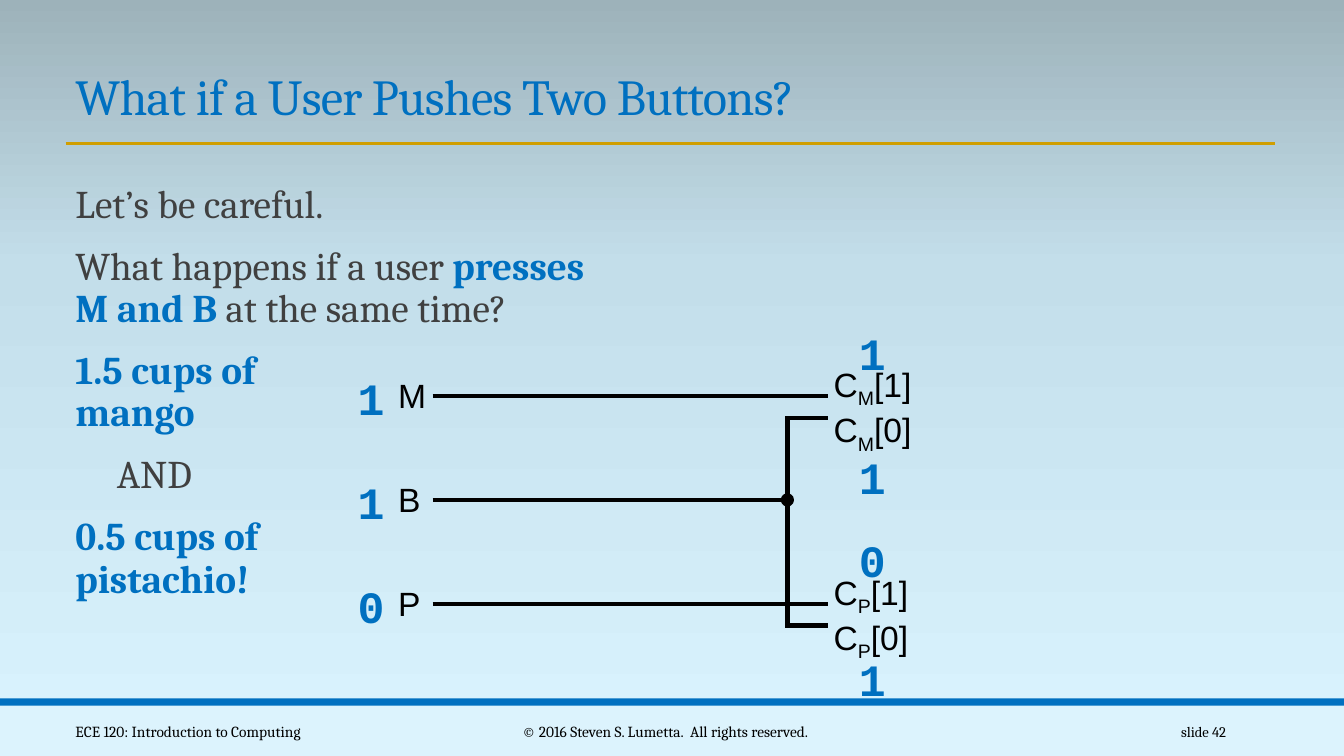
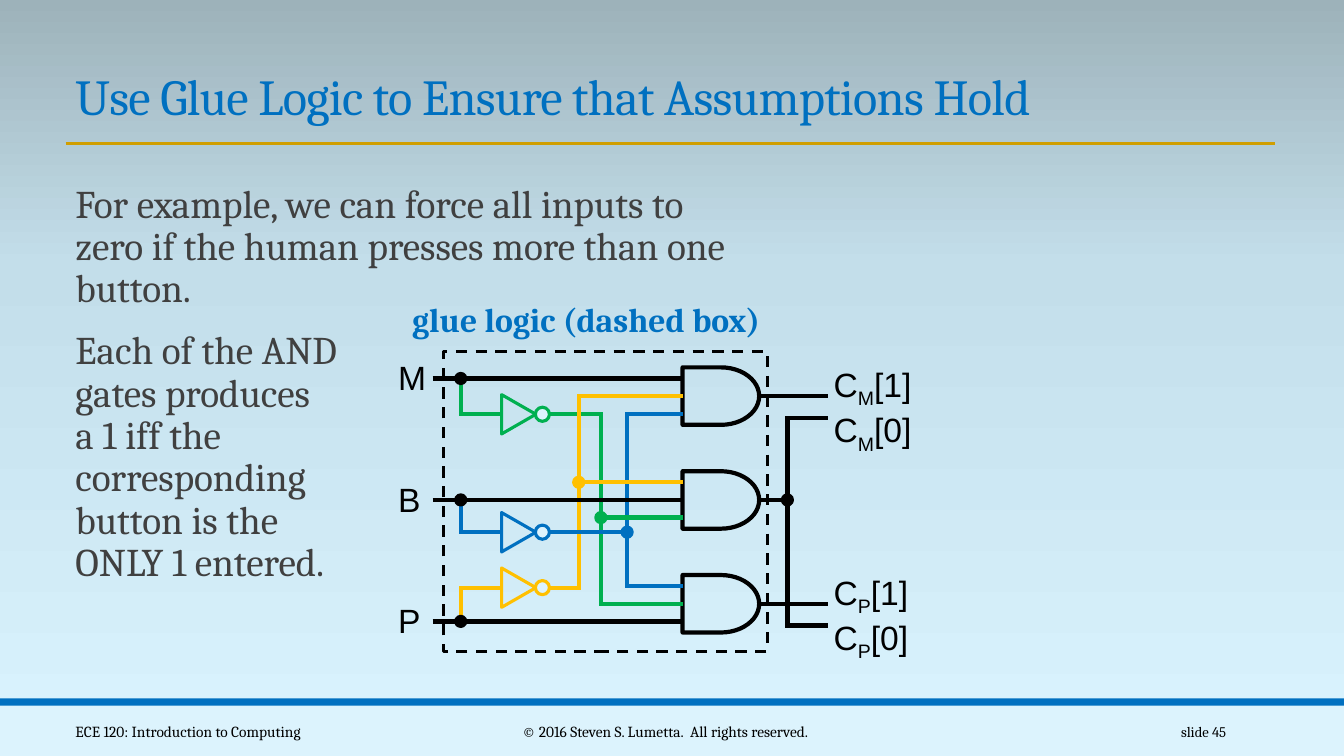
import itertools

import pptx
import pptx.dml.color
import pptx.enum.dml
import pptx.enum.shapes
import pptx.enum.text
import pptx.oxml
import pptx.oxml.ns
import pptx.util
import copy

RGBColor = pptx.dml.color.RGBColor
Pt = pptx.util.Pt
qn = pptx.oxml.ns.qn
SHAPE = pptx.enum.shapes.MSO_SHAPE
ANCHOR = pptx.enum.text.MSO_ANCHOR
ALIGN = pptx.enum.text.PP_ALIGN

BLACK = RGBColor(0x00, 0x00, 0x00)
GRAY = RGBColor(0x40, 0x40, 0x40)
BLUE = RGBColor(0x00, 0x70, 0xC0)
GREEN = RGBColor(0x00, 0xB0, 0x50)
YELLOW = RGBColor(0xFF, 0xC0, 0x00)
GOLD = RGBColor(0xD0, 0x9E, 0x00)
PALE = RGBColor(0xDC, 0xF3, 0xFD)
SKY = ((0, RGBColor(0xDA, 0xF4, 0xFF)),
       (0.65, RGBColor(0xC3, 0xDE, 0xEA)),
       (1, RGBColor(0x9D, 0xB2, 0xBA)))

COLUMNS, ROWS = 133.3, 75
LEFT = 6.5
INPUT_X, TAP_X, GATE_X, BUS_X, OUTPUT_X = 42.9, 45.7, 67.7, 78.1, 82.1
GATE_WIDTH, GATE_HEIGHT, PIN_GAP = 7.6, 5.7, 1.75
GATE_ROWS = [39.3 + 10.3 * i for i in range(3)]
BUS_DROP = 2.15
BUTTONS = (("M", 4.8), ("B", 4.3), ("P", 4.3))
GATE_INPUTS = ((BLACK, YELLOW, BLUE), (YELLOW, BLACK, GREEN), (BLUE, GREEN, BLACK))
INVERTERS = ((GREEN, 41.1, 59.6), (YELLOW, 58.3, 57.4), (BLUE, 52.8, 62.2))


class Deck:
    """Holds the shared style and the current slide of a lecture deck."""

    def __init__(self):
        self.prs = pptx.Presentation()
        self.cell = pptx.util.Inches(0.1)
        self.prs.slide_width = self.grid(COLUMNS)
        self.prs.slide_height = self.grid(ROWS)
        master = self.prs.slide_master
        fill = master.background.fill
        fill.gradient()
        fill.gradient_angle = 90
        stops = master.element.find(".//" + qn("a:gsLst"))
        stops.append(copy.deepcopy(stops[0]))
        for stop, (position, colour) in zip(fill.gradient_stops, SKY):
            stop.position = position
            stop.color.rgb = colour

    def grid(self, cells):
        return round(cells * self.cell)

    def new_slide(self, title, number):
        self.slide = self.prs.slides.add_slide(self.prs.slide_layouts[6])
        self.shape(SHAPE.RECTANGLE, 0, 70, COLUMNS, 5, fill=PALE)
        self.shape(SHAPE.RECTANGLE, 0, 69.3, COLUMNS, 0.7, fill=BLUE)
        self.wire(GOLD, (LEFT, 14.2), (126.5, 14.2), weight=2)
        self.text(LEFT, 5.9, 120.1, 7.1, [[(title, {})]], size=36, colour=BLUE,
                  anchor=ANCHOR.BOTTOM, spacing=0.85, tracking=-50)
        for left, width, words, align, size in (
                (LEFT, 32.5, "ECE 120: Introduction to Computing", ALIGN.LEFT, 11),
                (40.3, 51.4, "© 2016 Steven S. Lumetta.  All rights reserved.", ALIGN.CENTER, 11),
                (108.3, 14.3, f"slide {number}", ALIGN.RIGHT, 10.5)):
            self.text(left, 70.6, width, 4, [[(words, {})]], size=size,
                      anchor=ANCHOR.MIDDLE, align=align)

    def text(self, left, top, width, height, paragraphs, size=24, font="Cambria",
             colour=BLACK, bold=False, anchor=ANCHOR.TOP, align=ALIGN.LEFT,
             spacing=None, before=0, after=0, wrap=True, tracking=None):
        box = self.slide.shapes.add_textbox(*map(self.grid, (left, top, width, height)))
        frame = box.text_frame
        frame.word_wrap = wrap
        frame.vertical_anchor = anchor
        if not wrap:
            frame.auto_size = pptx.enum.text.MSO_AUTO_SIZE.SHAPE_TO_FIT_TEXT
        for index, runs in enumerate(paragraphs):
            paragraph = frame.add_paragraph() if index else frame.paragraphs[0]
            paragraph.alignment = align
            paragraph.space_before, paragraph.space_after = Pt(before), Pt(after)
            if spacing:
                paragraph.line_spacing = spacing
            for words, changes in runs:
                if "indent" in changes:
                    properties = paragraph._p.get_or_add_pPr()
                    properties.set("marL", str(self.grid(changes["indent"])))
                for line_index, line in enumerate(words.split("\n")):
                    if line_index:
                        paragraph.add_line_break()
                    run = paragraph.add_run()
                    run.text = line
                    run.font.name, run.font.size = font, Pt(size)
                    run.font.bold = changes.get("bold", bold)
                    run.font.color.rgb = changes.get("colour", colour)
                    properties = run._r.get_or_add_rPr()
                    if tracking:
                        properties.set("spc", str(tracking))
                    if "baseline" in changes:
                        properties.set("baseline", str(changes["baseline"]))

    def body(self, *paragraphs):
        self.text(LEFT, 17.8, 85.2, 46.4, paragraphs, size=28, colour=GRAY,
                  spacing=0.9, before=12, after=2)

    def label(self, left, top, width, *runs):
        self.text(left, top, width, 5, [runs], font="Arial", wrap=False)

    def bit(self, left, top, value):
        self.text(left, top, 4.7, 6.4, [[(value, {})]], size=32, font="Courier New",
                  colour=BLUE, bold=True, wrap=False)

    def shape(self, kind, left, top, width, height, fill=None, line=None, weight=2.25, turn=0):
        item = self.slide.shapes.add_shape(kind, *map(self.grid, (left, top, width, height)))
        item.shadow.inherit = False
        item.rotation = turn
        if fill is None:
            item.fill.background()
        else:
            item.fill.solid()
            item.fill.fore_color.rgb = fill
        if line is None:
            item.line.fill.background()
        else:
            item.line.color.rgb = line
            item.line.width = Pt(weight)
        return item

    def wire(self, colour, *points, weight=3, source=None, target=None):
        for start, end in itertools.pairwise(points):
            link = self.slide.shapes.add_connector(
                pptx.enum.shapes.MSO_CONNECTOR.STRAIGHT, *map(self.grid, start + end))
            link.line.color.rgb = colour
            link.line.width = Pt(weight)
            properties = link.element.spPr
            if start[0] == end[0]:
                properties.find(qn("a:ln")).set("cap", "sq")
            properties.append(pptx.oxml.parse_xml(
                f"<a:effectLst {pptx.oxml.ns.nsdecls('a')}/>"))
            if source is not None and start == points[0]:
                link.begin_connect(source, 3)
            if target is not None and end == points[-1]:
                link.end_connect(target, 1)

    def dot(self, x, y, colour=BLACK):
        self.shape(SHAPE.OVAL, x - 0.5, y - 0.5, 1, 1, fill=colour, line=colour)

    def inverter(self, colour, y):
        self.shape(SHAPE.ISOSCELES_TRIANGLE, 49.5, y - 1.7, 3.9, 3.4, line=colour, turn=90)
        self.shape(SHAPE.OVAL, 53.1, y - 0.7, 1.4, 1.4, fill=PALE, line=colour)

    def gate(self, y):
        return self.shape(SHAPE.FLOWCHART_DELAY, GATE_X, y - GATE_HEIGHT / 2,
                          GATE_WIDTH, GATE_HEIGHT, line=BLACK, weight=3)

    def buttons(self, rows):
        for (name, width), y in zip(BUTTONS, rows):
            self.label(38.5, y - 2.6, width, (name, {}))

    def outputs(self, start_x, gates=(None, None, None)):
        for y, end_x, gate in zip(GATE_ROWS, (OUTPUT_X, BUS_X, OUTPUT_X), gates):
            self.wire(BLACK, (start_x, y), (end_x, y), source=gate)
        top, middle, bottom = GATE_ROWS
        self.wire(BLACK, (OUTPUT_X, top + BUS_DROP), (BUS_X, top + BUS_DROP),
                  (BUS_X, bottom + BUS_DROP), (OUTPUT_X, bottom + BUS_DROP))
        self.dot(BUS_X, middle)
        for name, width, y in (("M", 10.1, top), ("P", 9.7, bottom)):
            for index, shift in (("[1]", -3.7), ("[0]", 0.8)):
                self.label(81.7, y + shift, width, ("C", {}),
                           (name, {"baseline": -25000}), (index, {}))

    def glue_logic(self):
        gates = [self.gate(y) for y in GATE_ROWS]
        pins = [(colour, y + (slot - 1) * PIN_GAP, gate if slot == 1 else None)
                for y, gate, colours in zip(GATE_ROWS, gates, GATE_INPUTS)
                for slot, colour in enumerate(colours)]
        input_rows = [y for colour, y, _ in pins if colour == BLACK]
        taps = dict(zip((GREEN, BLUE, YELLOW), input_rows))
        starts = {BLACK: INPUT_X}
        tees = []
        for colour, y, trunk_x in INVERTERS:
            self.wire(colour, (TAP_X, taps[colour]), (TAP_X, y), (49.8, y))
            self.wire(colour, (54.5, y), (trunk_x, y))
            self.inverter(colour, y)
            starts[colour] = trunk_x
            top, tee, bottom = sorted([y] + [pin for net, pin, _ in pins if net == colour])
            self.wire(colour, (trunk_x, top), (trunk_x, bottom))
            tees.append((trunk_x, tee, colour))
        for colour, y, gate in pins:
            self.wire(colour, (starts[colour], y), (GATE_X, y), target=gate)
        for tee in tees:
            self.dot(*tee)
        for y in input_rows:
            self.dot(TAP_X, y)
        self.buttons(input_rows)
        self.outputs(GATE_X + GATE_WIDTH, gates)
        border = self.shape(SHAPE.RECTANGLE, 44, 34.9, 32.1, 29.7, line=BLACK, weight=2)
        border.line.dash_style = pptx.enum.dml.MSO_LINE.DASH


def main():
    deck = Deck()
    strong = {"colour": BLUE, "bold": True}

    deck.new_slide("What if a User Pushes Two Buttons?", 42)
    deck.body(
        [("Let’s be careful.", {})],
        [("What happens if a user ", {}), ("presses \nM and B ", strong),
         ("at the same time?", {})],
        [("1.5 cups of\nmango", strong)],
        [("AND", {"indent": 4.1})],
        [("0.5 cups of\npistachio!", strong)])
    deck.outputs(INPUT_X)
    deck.buttons(GATE_ROWS)
    for y, value in zip(GATE_ROWS, "110"):
        deck.bit(34.5, y - 3, value)
    for top, value in ((31.8, "1"), (44.1, "1"), (52.4, "0"), (64.2, "1")):
        deck.bit(84.2, top, value)

    deck.new_slide("Use Glue Logic to Ensure that Assumptions Hold", 45)
    deck.body(
        [("For example, we can force all inputs to\n"
          "zero if the human presses more than one\nbutton.", {})],
        [("Each of the AND\ngates produces\na 1 iff the\ncorresponding\n"
          "button is the \nONLY 1 entered.", {})])
    deck.glue_logic()
    deck.text(39.9, 29.2, 42.2, 5, [[("glue logic (dashed box)", {})]],
              colour=BLUE, bold=True, wrap=False)

    deck.prs.save("out.pptx")


if __name__ == "__main__":
    main()
